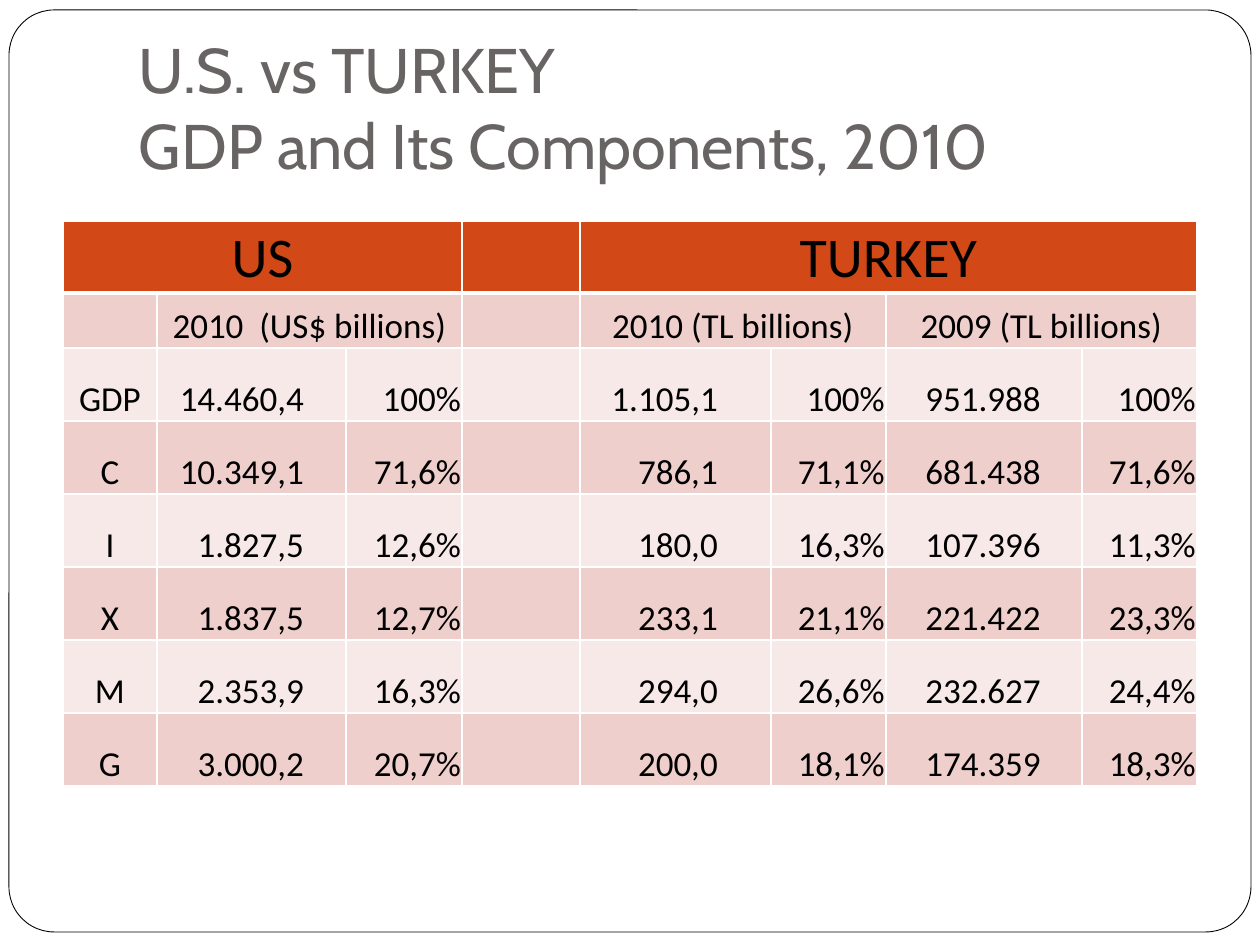
from pptx import Presentation
from pptx.dml.color import RGBColor
from pptx.enum.shapes import MSO_SHAPE as SHAPE
from pptx.enum.text import MSO_ANCHOR as ANCHOR, MSO_AUTO_SIZE as FIT, PP_ALIGN as ALIGN
from pptx.oxml.ns import qn
from pptx.util import Emu, Pt
from lxml.etree import SubElement


def px(n):
    """Turn pixels into EMU."""
    return Emu(round(n * 914400 / 126))


def rgb(value):
    """Turn a hex string into a colour."""
    return RGBColor.from_string(value)


class Deck:
    """Hold the style and the current slide."""
    HEAD_FONT, BODY_FONT = "Cabin", "Calibri"
    GREY, BLACK, WHITE = "696464", "000000", "FFFFFF"
    ORANGE, BANDS = "D34817", ("F7E9E8", "EFCFCC")

    def __init__(self):
        """Start a deck with one title-only slide."""
        self.prs = Presentation()
        self.prs.slide_width, self.prs.slide_height = px(1260), px(945)
        self.s = self.prs.slides.add_slide(self.prs.slide_layouts[5])

    def run(self, p, text, font, size, color):
        """Add one formatted run to a paragraph."""
        r = p.add_run()
        r.text = text
        r.font.name, r.font.size, r.font.bold = font, Pt(size), False
        r.font.color.rgb = rgb(color)

    def frame(self, x, y, w, h, radius):
        """Draw the rounded slide frame behind everything else."""
        sp = self.s.shapes.add_shape(SHAPE.ROUNDED_RECTANGLE, px(x), px(y), px(w), px(h))
        sp.adjustments[0] = radius
        sp.shadow.inherit = False
        sp.fill.solid()
        sp.fill.fore_color.rgb = rgb(self.WHITE)
        sp.line.color.rgb = rgb(self.BLACK)
        sp.line.width = Pt(0.5)
        self.s.shapes._spTree.insert(2, sp._element)

    def title(self, x, y, w, h, lines):
        """Place and fill the title placeholder."""
        sp = self.s.shapes.title
        sp.left, sp.top, sp.width, sp.height = px(x), px(y), px(w), px(h)
        tf = sp.text_frame
        tf.auto_size, tf.word_wrap = FIT.NONE, True
        tf.vertical_anchor = ANCHOR.BOTTOM
        tf.margin_left = tf.margin_right = tf.margin_bottom = px(13)
        tf.margin_top = px(6)
        p = tf.paragraphs[0]
        p.alignment = ALIGN.LEFT
        for i, line in enumerate(lines):
            if i:
                p.add_line_break()
            self.run(p, line, self.HEAD_FONT, 36, self.GREY)

    def table(self, x, y, cols, rows):
        """Add a plain table with the given column widths and row heights."""
        shape = self.s.shapes.add_table(len(rows), len(cols), px(x), px(y),
                                        px(sum(cols)), px(sum(rows)))
        t = shape.table
        t.first_row = t.horz_banding = False
        for col, w in zip(t.columns, cols):
            col.width = px(w)
        for row, h in zip(t.rows, rows):
            row.height = px(h)
        for r in range(len(rows)):
            for c in range(len(cols)):
                self.cell_style(t.cell(r, c), r)
        return t

    def cell_style(self, cell, row):
        """Give a cell its borders, margins and band colour."""
        tcPr = cell._tc.get_or_add_tcPr()
        for side in "LRTB":
            width = 3 if (row, side) in ((0, "B"), (1, "T")) else 1
            ln = SubElement(tcPr, qn("a:ln" + side), w=str(Pt(width)))
            SubElement(SubElement(ln, qn("a:solidFill")), qn("a:srgbClr"), val=self.WHITE)
        cell.margin_left = cell.margin_right = cell.margin_top = px(1)
        cell.margin_bottom = 0
        cell.vertical_anchor = ANCHOR.BOTTOM
        cell.fill.solid()
        cell.fill.fore_color.rgb = rgb(self.BANDS[row % 2] if row else self.ORANGE)

    def cell_text(self, cell, text, size=20, align=ALIGN.CENTER, right=1):
        """Write text into a cell, held off its right edge."""
        cell.margin_right = px(right)
        p = cell.text_frame.paragraphs[0]
        p.alignment = align
        self.run(p, text, self.BODY_FONT, size, self.BLACK)


def main():
    """Build the GDP comparison slide."""
    deck = Deck()
    deck.frame(9, 10, 1242, 922, 0.049)
    deck.title(126, 38, 1071, 157, ["U.S. vs TURKEY", "GDP and Its Components, 2010"])
    t = deck.table(63, 221, [94, 189, 116, 118, 191, 115, 196, 115], [72, 55] + [73] * 6)

    headers = [
        (0, 0, 2, "US", 32),
        (0, 4, 7, "TURKEY", 32),
        (1, 1, 2, "2010  (US$ billions)", 20),
        (1, 4, 5, "2010 (TL billions)", 20),
        (1, 6, 7, "2009 (TL billions)", 20),
    ]
    for row, first, last, text, size in headers:
        t.cell(row, first).merge(t.cell(row, last))
        deck.cell_text(t.cell(row, first), text, size)

    components = [
        ("GDP", "14.460,4", "100%", "1.105,1", "100%", "951.988", "100%"),
        ("C", "10.349,1", "71,6%", "786,1", "71,1%", "681.438", "71,6%"),
        ("I", "1.827,5", "12,6%", "180,0", "16,3%", "107.396", "11,3%"),
        ("X", "1.837,5", "12,7%", "233,1", "21,1%", "221.422", "23,3%"),
        ("M", "2.353,9", "16,3%", "294,0", "26,6%", "232.627", "24,4%"),
        ("G", "3.000,2", "20,7%", "200,0", "18,1%", "174.359", "18,3%"),
    ]
    value_cols = {1: 42, 2: 1, 4: 53, 5: 1, 6: 41, 7: 1}
    for row, (name, *values) in enumerate(components, 2):
        deck.cell_text(t.cell(row, 0), name)
        for (col, right), value in zip(value_cols.items(), values):
            deck.cell_text(t.cell(row, col), value, align=ALIGN.RIGHT, right=right)

    deck.prs.save("out.pptx")


if __name__ == "__main__":
    main()
